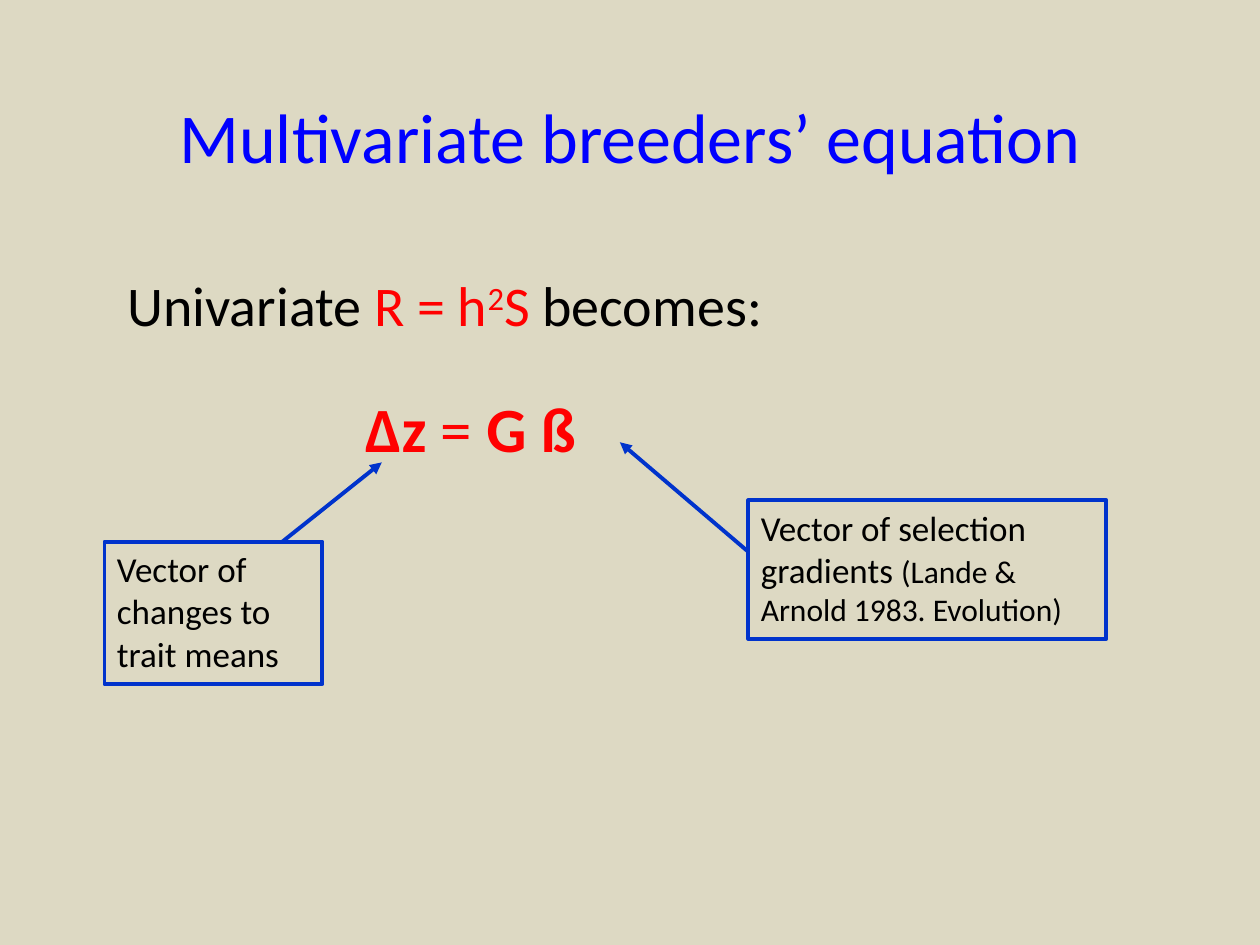
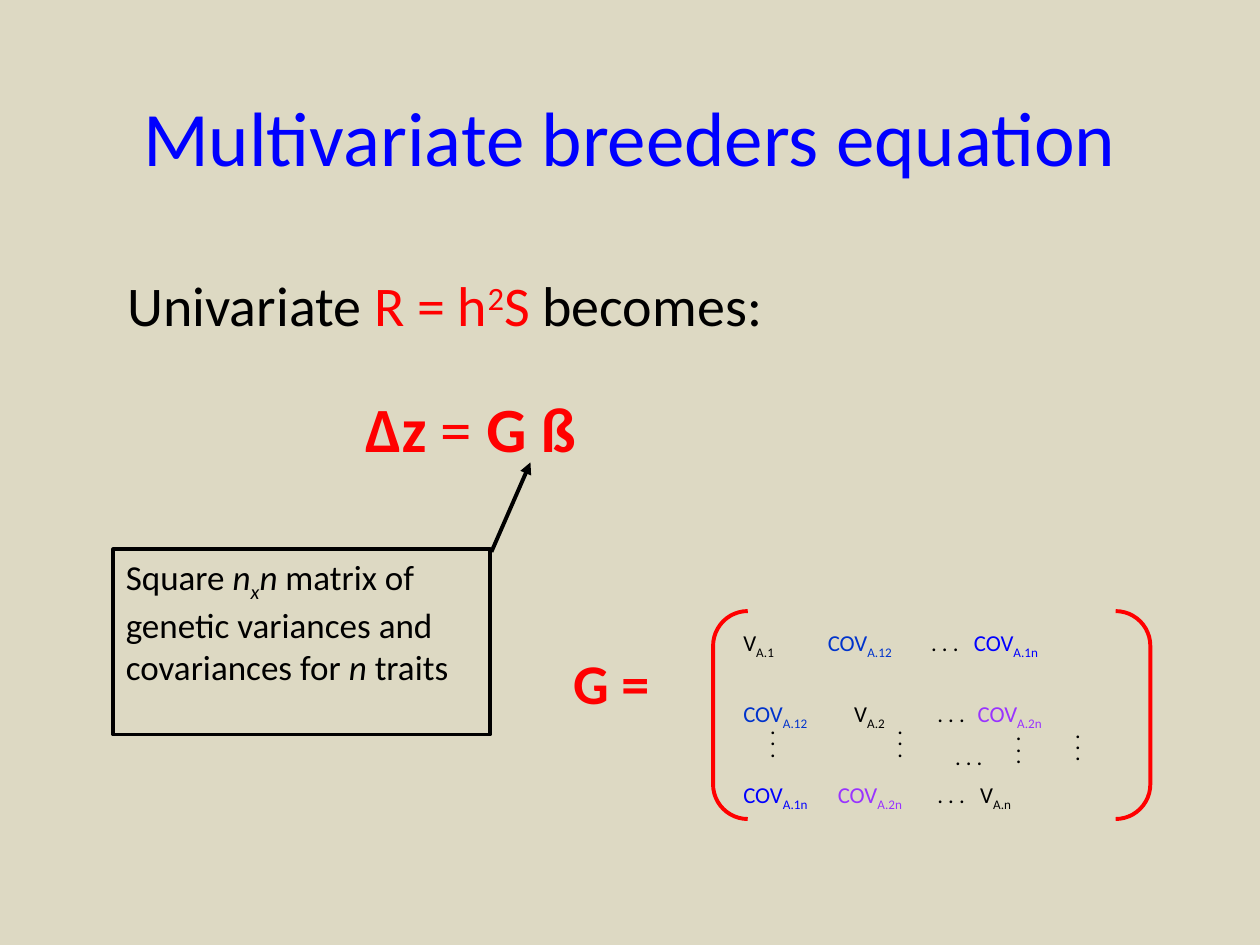
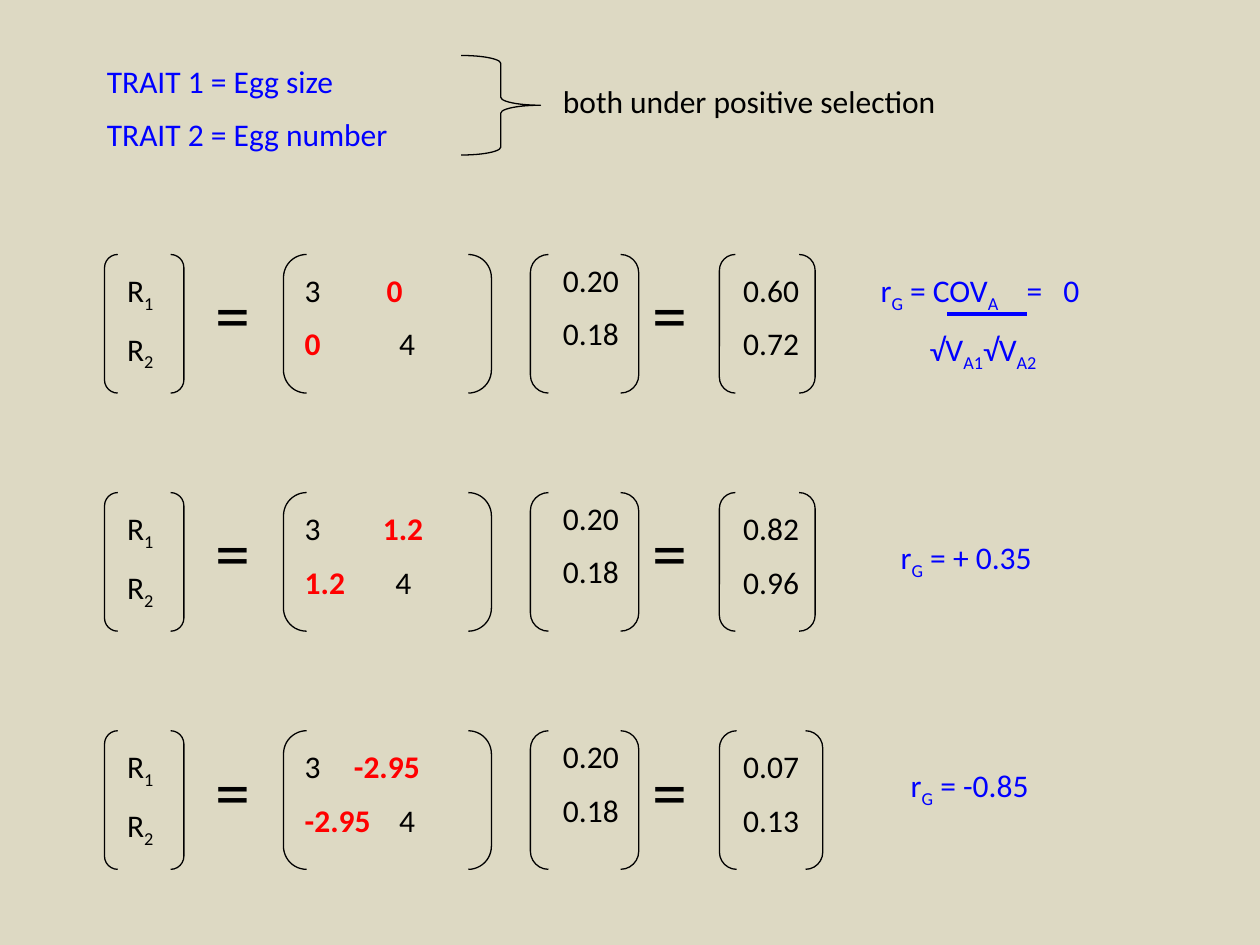
from lxml.etree import SubElement
from pptx import Presentation
from pptx.dml.color import RGBColor
from pptx.enum.shapes import MSO_CONNECTOR, MSO_SHAPE
from pptx.enum.text import MSO_ANCHOR, MSO_AUTO_SIZE, PP_ALIGN
from pptx.oxml.ns import qn
from pptx.util import Inches, Pt

SAND = RGBColor(0xDD, 0xD9, 0xC3)
BLACK = RGBColor(0, 0, 0)
BLUE = RGBColor(0, 0, 0xFF)
ROYAL = RGBColor(0, 0x33, 0xCC)
RED = RGBColor(0xFF, 0, 0)
PURPLE = RGBColor(0x99, 0x33, 0xFF)

SUB = {"baseline": -25}
ITALIC = {"italic": True}
HOT = {"color": RED, "bold": True}

TITLE_BOX = (0.75, 0.45, 8.5, 1.25)
BODY_BOX = (0.91, 2.1, 8.5, 0.71)
EQUATION_BOX = (2.8, 3.04, 5.35, 0.7)
UNIVARIATE = [["Univariate ", ("R = h", {"color": RED}), ("2", {"color": RED, "baseline": 30}),
               ("S ", {"color": RED}), "becomes:"]]
EQUATION = [["Δz", (" = ", {"bold": False}), "G ß"]]

EQUATION_SLIDES = [
    {"title": "Multivariate breeders’ equation", "title_size": 40, "color": ROYAL, "notes": [
        {"box": (0.83, 4.3, 1.73, 1.13), "arrow": (2.24, 4.3, 3.03, 3.67),
         "text": [["Vector of changes to trait means"]]},
        {"box": (5.94, 3.97, 2.84, 1.1), "arrow": (5.94, 4.38, 4.92, 3.51),
         "text": [["Vector of selection gradients ",
                   ("(Lande & Arnold 1983. Evolution)", {"size": 18})]]},
    ]},
    {"title": "Multivariate breeders equation", "title_size": 44, "color": BLACK, "notes": [
        {"box": (0.9, 4.36, 2.99, 1.47), "arrow": (3.9, 4.38, 4.21, 3.67),
         "text": [["Square ", ("n", ITALIC), ("x", {**ITALIC, **SUB}), ("n ", ITALIC),
                   "matrix of genetic variances and covariances for ",
                   ("n ", ITALIC), "traits"]]},
    ]},
]


def entry(name, index, color=BLACK):
    return [(name, {"color": color}), (index, {"color": color, **SUB})]


DOTS = ". . ."
MATRIX_ROWS = [
    [*entry("V", "A.1"), "\t", *entry("COV", "A.12", ROYAL), "\t" + DOTS + "\t",
     *entry("COV", "A.1n", BLUE)],
    [*entry("COV", "A.12", ROYAL), "\t", *entry("V", "A.2"), "\t" + DOTS + "\t",
     *entry("COV", "A.2n", PURPLE)],
    ["\t" + DOTS],
    [*entry("COV", "A.1n", BLUE), "\t", *entry("COV", "A.2n", PURPLE), "\t" + DOTS + "\t",
     *entry("V", "A.n")],
]
MATRIX_TABS = [(0.67, 1.49, 1.83), (0.88, 1.54, 1.86), (1.68,), (0.75, 1.54, 1.88)]
MATRIX_GAPS = [0, 23, 6.5, 6.5]
VERTICAL_DOTS = [(5.98, 5.75), (6.99, 5.75), (7.93, 5.8), (8.4, 5.78)]

TRAITS = [["TRAIT 1 = Egg size"], ["TRAIT 2 = Egg number"]]
RESPONSE = [["R", ("1", SUB)], ["R", ("2", SUB)]]
GRADIENTS = [["0.20"], ["0.18"]]
CASES = [
    {"covariance": "0", "tabs": (0.65, 0.75), "result": ("0.60", "0.72"), "result_width": 0.76},
    {"covariance": "1.2", "tabs": (0.62, 0.72), "result": ("0.82", "0.96"), "result_width": 0.76},
    {"covariance": "-2.95", "tabs": (0.39, 0.75), "result": ("0.07", "0.13"), "result_width": 0.82},
]
CASE_TOP, CASE_STEP, BRACKET_HEIGHT = 2.02, 1.89, 1.1
BRACKETS = [(0.83, 0.63), (2.25, 1.65), (4.21, 0.86)]
EQUALS_LEFTS = [1.61, 5.08]
CORRELATIONS = [
    ((6.89, 2.1, 2.28, 0.4), ["r", ("G", SUB), " = COV", ("A", SUB), "\t=\t0"]),
    ((7.28, 2.57, 2.28, 0.4), ["√V", ("A1", SUB), "√V", ("A2", SUB)]),
    ((7.05, 4.22, 2.13, 0.4), ["r", ("G", SUB), " = + 0.35"]),
    ((7.13, 6.03, 2.13, 0.4), ["r", ("G", SUB), " = -0.85"]),
]


def inches(values):
    return [Inches(value) for value in values]


def write_text(frame, paragraphs, size=18, color=BLACK, bold=False, font="Calibri",
               align=PP_ALIGN.LEFT, tabs=(), gaps=None):
    for index, runs in enumerate(paragraphs):
        paragraph = frame.paragraphs[0] if index == 0 else frame.add_paragraph()
        paragraph.alignment = align
        gap = gaps[index] if gaps else size / 2
        paragraph.space_before = Pt(gap if index else 0)
        for run_content in runs:
            text, style = (run_content, {}) if isinstance(run_content, str) else run_content
            run = paragraph.add_run()
            run.text = text
            run.font.name = font
            run.font.size = Pt(style.get("size", size))
            run.font.bold = style.get("bold", bold)
            run.font.italic = style.get("italic", False)
            run.font.color.rgb = style.get("color", color)
            if "baseline" in style:
                run._r.get_or_add_rPr().set("baseline", str(style["baseline"] * 1000))
        if tabs and tabs[index]:
            tab_list = SubElement(paragraph._p.get_or_add_pPr(), qn("a:tabLst"))
            for position in tabs[index]:
                SubElement(tab_list, qn("a:tab"), pos=str(Inches(position)), algn="l")


def add_text(slide, box, paragraphs, wrap=True, margin=0.1, rotation=0, **text_format):
    shape = slide.shapes.add_textbox(*inches(box))
    shape.rotation = rotation
    frame = shape.text_frame
    frame.word_wrap = wrap
    frame.margin_left = frame.margin_right = Inches(margin)
    write_text(frame, paragraphs, **text_format)


def add_outline(slide, kind, box, color=BLACK, width=0.75):
    shape = slide.shapes.add_shape(kind, *inches(box))
    shape.shadow.inherit = False
    shape.fill.background()
    shape.line.color.rgb = color
    shape.line.width = Pt(width)
    return shape


def add_line(slide, ends, color, arrow=False):
    connector = slide.shapes.add_connector(MSO_CONNECTOR.STRAIGHT, *inches(ends))
    connector.line.color.rgb = color
    connector.line.width = Pt(2.25)
    if arrow:
        SubElement(connector.line._get_or_add_ln(), qn("a:tailEnd"), type="triangle")
    SubElement(connector._element.spPr, qn("a:effectLst"))


def fill_placeholder(placeholder, box, paragraphs, **text_format):
    placeholder.left, placeholder.top, placeholder.width, placeholder.height = inches(box)
    placeholder.text_frame.auto_size = MSO_AUTO_SIZE.NONE
    write_text(placeholder.text_frame, paragraphs, **text_format)


def add_equation_slide(presentation, content):
    slide = presentation.slides.add_slide(presentation.slide_layouts[1])
    fill_placeholder(slide.shapes.title, TITLE_BOX, [[content["title"]]],
                     size=content["title_size"], color=BLUE, align=PP_ALIGN.CENTER)
    body = slide.placeholders[1]
    fill_placeholder(body, BODY_BOX, UNIVARIATE, size=32)
    properties = body.text_frame.paragraphs[0]._p.get_or_add_pPr()
    properties.set("marL", "0")
    properties.set("indent", "0")
    SubElement(properties, qn("a:buNone"))
    add_text(slide, EQUATION_BOX, EQUATION, size=36, color=RED, bold=True)
    for note in content["notes"]:
        shape = add_outline(slide, MSO_SHAPE.RECTANGLE, note["box"], content["color"], 2.25)
        shape.text_frame.vertical_anchor = MSO_ANCHOR.TOP
        shape.text_frame.word_wrap = True
        write_text(shape.text_frame, note["text"], size=20)
        add_line(slide, note["arrow"], content["color"], arrow=True)
    return slide


def add_matrix(slide):
    add_text(slide, (4.45, 5.1, 1.18, 0.63), [["G ="]], size=32, color=RED, bold=True)
    add_outline(slide, MSO_SHAPE.DOUBLE_BRACKET, (5.66, 4.85, 3.47, 1.65), RED, 2.25)
    add_text(slide, (5.86, 4.94, 3.23, 1.45), MATRIX_ROWS, margin=0.04, size=13,
             tabs=MATRIX_TABS, gaps=MATRIX_GAPS)
    for left, top in VERTICAL_DOTS:
        add_text(slide, (left, top, 0.43, 0.32), [[DOTS]], wrap=False, rotation=90,
                 size=13, font="Times New Roman", align=PP_ALIGN.CENTER)


def add_case(slide, case, top):
    text_top = top + 0.08
    covariance = (case["covariance"], HOT)
    for left, width in [*BRACKETS, (5.71, case["result_width"])]:
        add_outline(slide, MSO_SHAPE.DOUBLE_BRACKET, (left, top, width, BRACKET_HEIGHT))
    add_text(slide, (0.91, text_top, 0.71, 0.85), RESPONSE)
    add_text(slide, (2.32, text_top, 1.81, 0.85),
             [["3\t", covariance], [covariance, "\t4"]],
             tabs=[(position,) for position in case["tabs"]])
    add_text(slide, (4.37, top, 0.94, 0.85), GRADIENTS)
    add_text(slide, (5.8, text_top, 0.85, 0.85), [[value] for value in case["result"]])
    for left in EQUALS_LEFTS:
        add_text(slide, (left, text_top, 0.63, 0.77), [["="]], size=40)


def add_traits_slide(presentation):
    slide = presentation.slides.add_slide(presentation.slide_layouts[6])
    add_text(slide, (0.75, 0.44, 3.84, 0.85), TRAITS, color=BLUE)
    brace = add_outline(slide, MSO_SHAPE.RIGHT_BRACE, (3.66, 0.44, 0.63, 0.79))
    brace.adjustments[0] = 0.1
    add_text(slide, (4.37, 0.6, 3.94, 0.4), [["both under positive selection"]])
    for index, case in enumerate(CASES):
        add_case(slide, case, CASE_TOP + index * CASE_STEP)
    for box, runs in CORRELATIONS:
        add_text(slide, box, [runs], color=BLUE, tabs=[(1.16, 1.45)])
    add_line(slide, (7.52, 2.49, 8.15, 2.49), BLUE)


def main():
    presentation = Presentation()
    presentation.slide_width, presentation.slide_height = Inches(10), Inches(7.5)
    background = presentation.slide_master.background.fill
    background.solid()
    background.fore_color.rgb = SAND
    equation_slides = [add_equation_slide(presentation, content) for content in EQUATION_SLIDES]
    add_matrix(equation_slides[1])
    add_traits_slide(presentation)
    presentation.save("out.pptx")


if __name__ == "__main__":
    main()
